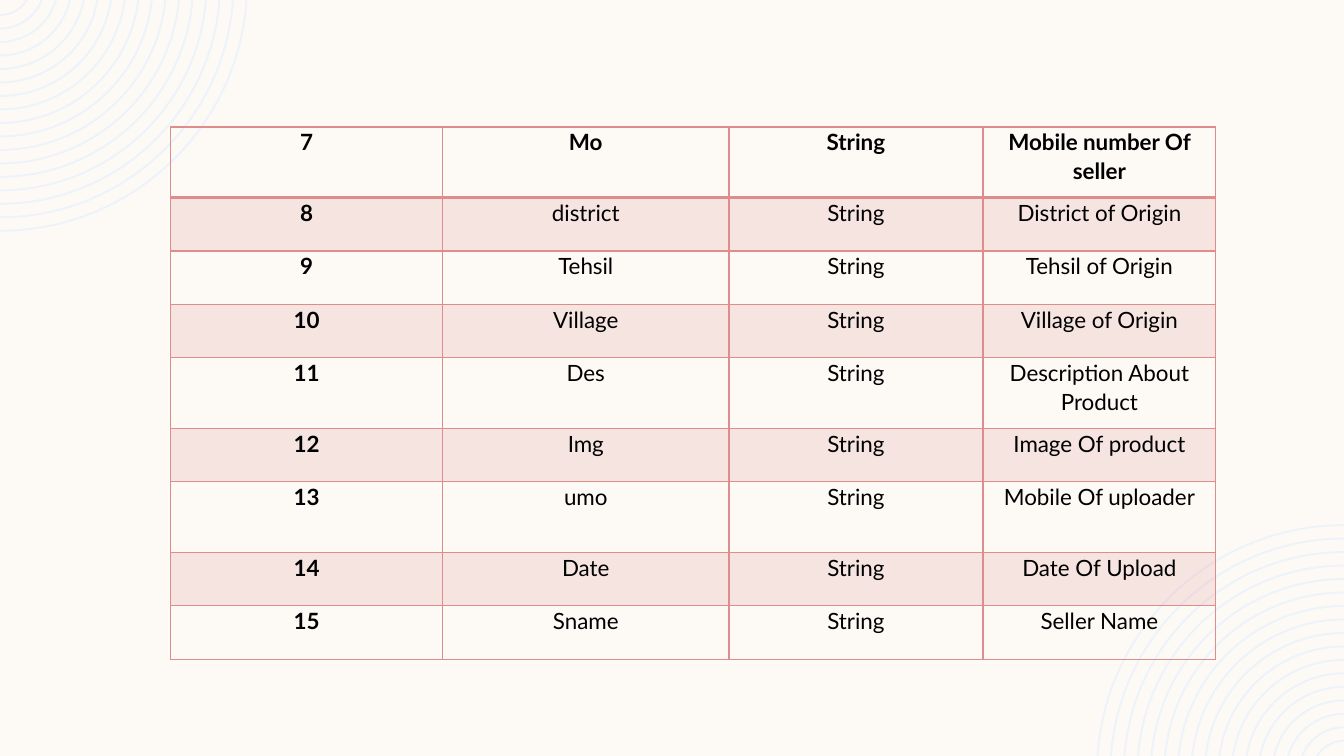
from dataclasses import dataclass
from math import asin, cos, pi, sin, tan
from typing import NamedTuple

from lxml.etree import SubElement
from pptx import Presentation
from pptx.dml.color import RGBColor
from pptx.enum.text import PP_ALIGN
from pptx.oxml import parse_xml
from pptx.oxml.ns import nsdecls, qn
from pptx.shapes.autoshape import Shape
from pptx.slide import Slide
from pptx.table import _Cell
from pptx.util import Inches, Pt


@dataclass(frozen=True)
class Theme:
    background: RGBColor = RGBColor.from_string("FDFAF6")
    ripple: RGBColor = RGBColor.from_string("EEF3FA")
    accent: RGBColor = RGBColor.from_string("DE8C8C")
    text: RGBColor = RGBColor.from_string("000000")
    font: str = "Lato"
    text_size: float = 16
    band_opacity: int = 20
    border: float = 1
    header_rule: float = 2


class Field(NamedTuple):
    number: str
    name: str
    kind: str
    description: str
    height: float = 0.53


class Ripple(NamedTuple):
    corner_x: float
    corner_y: float
    direction: int


THEME = Theme()
SLIDE_WIDTH, SLIDE_HEIGHT = 13.33, 7.5
TABLE_LEFT, TABLE_TOP = 1.69, 1.26
COLUMN_WIDTHS = (2.7, 2.84, 2.52, 2.31)

RING_COUNT = 17
OUTER_RADIUS, INNERMOST_RADIUS = 2.46, 0.32
RING_THICKNESS = 0.02
CENTRE_OFFSET = 0.16

FIELDS = (
    Field("7", "Mo", "String", "Mobile number Of seller", 0.7),
    Field("8", "district", "String", "District of Origin"),
    Field("9", "Tehsil", "String", "Tehsil of Origin"),
    Field("10", "Village", "String", "Village of Origin"),
    Field("11", "Des", "String", "Description About Product", 0.7),
    Field("12", "Img", "String", "Image Of product"),
    Field("13", "umo", "String", "Mobile Of uploader", 0.7),
    Field("14", "Date", "String", "Date Of Upload"),
    Field("15", "Sname", "String", "Seller Name"),
)
RIPPLES = (Ripple(0, 0, 1), Ripple(SLIDE_WIDTH, SLIDE_HEIGHT, -1))


def arc(ripple: Ripple, radius: float) -> list[tuple[int, int]]:
    start = asin(CENTRE_OFFSET / radius)
    handle = 4 / 3 * tan((pi / 2 - start) / 4)
    unit_points = (
        (cos(start), sin(start)),
        (cos(start) - handle * sin(start), sin(start) + handle * cos(start)),
        (handle, 1),
        (0, 1),
    )
    return [
        (
            Inches(ripple.corner_x + ripple.direction * radius * x),
            Inches(ripple.corner_y + ripple.direction * (radius * y - CENTRE_OFFSET)),
        )
        for x, y in unit_points
    ]


def curve_rings(shape: Shape) -> None:
    segments = list(shape._element.iter(qn("a:lnTo")))
    for ring_start in range(0, len(segments), 7):
        for curve_start in (ring_start, ring_start + 4):
            curve, *others = segments[curve_start:curve_start + 3]
            curve.tag = qn("a:cubicBezTo")
            for segment in others:
                curve.append(segment[0])
                segment.getparent().remove(segment)


def draw_ripple(slide: Slide, ripple: Ripple) -> None:
    gap = (OUTER_RADIUS - INNERMOST_RADIUS) / (RING_COUNT - 1)
    radii = [OUTER_RADIUS - gap * ring for ring in range(RING_COUNT)]
    rings = [arc(ripple, radius) + arc(ripple, radius - RING_THICKNESS)[::-1] for radius in radii]
    outline = slide.shapes.build_freeform(*rings[0][0], scale=1.0)
    for index, ring in enumerate(rings):
        if index:
            outline.move_to(*ring[0])
        outline.add_line_segments(ring[1:], close=True)
    shape = outline.convert_to_shape()
    curve_rings(shape)
    shape.shadow.inherit = False
    shape.fill.solid()
    shape.fill.fore_color.rgb = THEME.ripple
    shape.line.fill.background()


def set_borders(cell: _Cell, bottom: float) -> None:
    widths = {"lnL": THEME.border, "lnR": THEME.border, "lnT": THEME.border, "lnB": bottom}
    properties = cell._tc.get_or_add_tcPr()
    for position, (edge, width) in enumerate(widths.items()):
        border = parse_xml(
            f'<a:{edge} {nsdecls("a")} w="{Pt(width)}"><a:solidFill>'
            f'<a:srgbClr val="{THEME.accent}"/></a:solidFill></a:{edge}>'
        )
        properties.insert(position, border)


def fill_cell(cell: _Cell, banded: bool) -> None:
    if not banded:
        cell.fill.background()
        return
    cell.fill.solid()
    cell.fill.fore_color.rgb = THEME.accent
    colour = cell._tc.tcPr.find(f'{qn("a:solidFill")}/{qn("a:srgbClr")}')
    SubElement(colour, qn("a:alpha"), val=str(THEME.band_opacity * 1000))


def write_cell(cell: _Cell, text: str, bold: bool) -> None:
    margins = dict(margin_left=Inches(0.07), margin_right=Inches(0.07), margin_top=0, margin_bottom=0)
    paragraph_format = dict(alignment=PP_ALIGN.CENTER, line_spacing=1.07, space_after=Pt(8))
    font_format = dict(name=THEME.font, size=Pt(THEME.text_size), bold=bold)
    paragraph = cell.text_frame.paragraphs[0]
    run = paragraph.add_run()
    run.text = text
    run.font.color.rgb = THEME.text
    for target, values in ((cell, margins), (paragraph, paragraph_format), (run.font, font_format)):
        for attribute, value in values.items():
            setattr(target, attribute, value)


def draw_fields(slide: Slide) -> None:
    table = slide.shapes.add_table(
        len(FIELDS),
        len(COLUMN_WIDTHS),
        Inches(TABLE_LEFT),
        Inches(TABLE_TOP),
        Inches(sum(COLUMN_WIDTHS)),
        Inches(sum(field.height for field in FIELDS)),
    ).table
    table.first_row = False
    table.horz_banding = False
    for column, width in zip(table.columns, COLUMN_WIDTHS):
        column.width = Inches(width)
    for row_index, field in enumerate(FIELDS):
        table.rows[row_index].height = Inches(field.height)
        for column_index, text in enumerate(field[:-1]):
            cell = table.cell(row_index, column_index)
            write_cell(cell, text, bold=row_index == 0 or column_index == 0)
            fill_cell(cell, banded=row_index % 2 == 1)
            set_borders(cell, THEME.border if row_index else THEME.header_rule)


def main() -> None:
    presentation = Presentation()
    presentation.slide_width = Inches(SLIDE_WIDTH)
    presentation.slide_height = Inches(SLIDE_HEIGHT)
    slide = presentation.slides.add_slide(presentation.slide_layouts[6])
    slide.background.fill.solid()
    slide.background.fill.fore_color.rgb = THEME.background
    for ripple in RIPPLES:
        draw_ripple(slide, ripple)
    draw_fields(slide)
    presentation.save("out.pptx")


if __name__ == "__main__":
    main()
